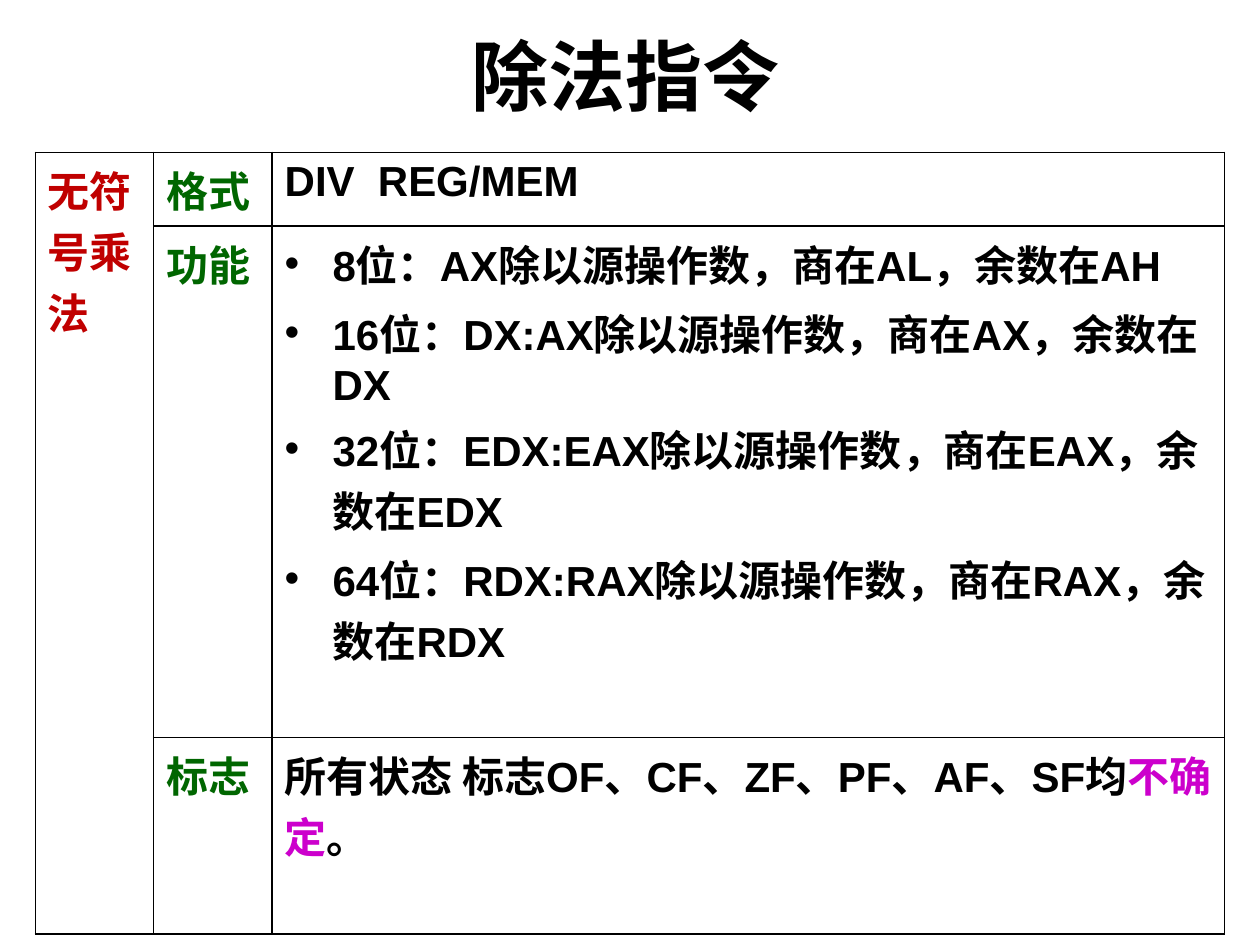
"""Build the slide on the division instruction."""
from dataclasses import dataclass

from lxml.etree import SubElement
from pptx import Presentation
from pptx.dml.color import RGBColor as Rgb
from pptx.enum.text import MSO_ANCHOR as Anchor, PP_ALIGN as Align
from pptx.oxml import parse_xml
from pptx.oxml.ns import nsdecls, qn
from pptx.util import Inches, Pt

BLACK = Rgb(0x00, 0x00, 0x00)
RED = Rgb(0xC0, 0x00, 0x00)
GREEN = Rgb(0x00, 0x66, 0x00)
PINK = Rgb(0xCC, 0x00, 0xCC)
WIDTHS = (0.94, 0.94, 7.56)
HEIGHTS = (0.58, 4.06, 1.56)


@dataclass(frozen=True)
class Part:
    text: str
    color: Rgb = BLACK


@dataclass(frozen=True)
class Entry:
    row: int
    col: int
    lines: tuple[tuple[Part, ...], ...]
    bullet: bool = False


MODES = (
    ("8", "AX", "AL", "AH"),
    ("16", "DX:AX", "AX", "DX"),
    ("32", "EDX:EAX", "EAX", "EDX"),
    ("64", "RDX:RAX", "RAX", "RDX"),
)
ENTRIES = (
    Entry(0, 0, ((Part("无符号乘法", RED),),)),
    Entry(0, 1, ((Part("格式", GREEN),),)),
    Entry(0, 2, ((Part("DIV  REG/MEM"),),)),
    Entry(1, 1, ((Part("功能", GREEN),),)),
    Entry(1, 2, tuple(
        (Part(f"{bits}位：{top}除以源操作数，商在{quot}，余数在{rest}"),)
        for bits, top, quot, rest in MODES), bullet=True),
    Entry(2, 1, ((Part("标志", GREEN),),)),
    Entry(2, 2, ((Part("所有状态 标志OF、CF、ZF、PF、AF、SF均"),
                  Part("不确定", PINK), Part("。")),)),
)


def add_run(para, part: Part, size: int) -> None:
    run = para.add_run()
    run.text = part.text
    font = run.font
    font.name, font.size, font.bold = "Arial", Pt(size), True
    font.color.rgb = part.color


def add_bullet(para) -> None:
    props = para._p.get_or_add_pPr()
    props.set("marL", str(Inches(0.38)))
    props.set("indent", str(-Inches(0.38)))
    SubElement(props, qn("a:buFont")).set("typeface", "Arial")
    SubElement(props, qn("a:buChar")).set("char", "•")


def set_style(cell) -> None:
    cell.fill.background()
    props = cell._tc.get_or_add_tcPr()
    for spot, side in enumerate("LRTB"):
        props.insert(spot, parse_xml(
            f'<a:ln{side} {nsdecls("a")} w="{Pt(1)}"><a:solidFill>'
            f'<a:srgbClr val="{BLACK}"/></a:solidFill></a:ln{side}>'))


def fill_cell(table, entry: Entry) -> None:
    frame = table.cell(entry.row, entry.col).text_frame
    for spot, line in enumerate(entry.lines):
        para = frame.add_paragraph() if spot else frame.paragraphs[0]
        if entry.bullet:
            add_bullet(para)
        if spot:
            para.space_before = Pt(4.8)
        for part in line:
            add_run(para, part, 24)


def add_title(slide) -> None:
    title = slide.shapes.title
    title.left, title.top = Inches(0.2), Inches(0.21)
    title.width, title.height = Inches(9.53), Inches(0.77)
    frame = title.text_frame
    frame.vertical_anchor = Anchor.MIDDLE
    para = frame.paragraphs[0]
    para.alignment = Align.CENTER
    add_run(para, Part("除法指令"), 44)


def add_grid(slide) -> None:
    table = slide.shapes.add_table(
        len(HEIGHTS), len(WIDTHS), Inches(0.28), Inches(1.21),
        Inches(sum(WIDTHS)), Inches(sum(HEIGHTS))).table
    table.first_row = table.horz_banding = False
    for col, width in zip(table.columns, WIDTHS):
        col.width = Inches(width)
    for row, height in zip(table.rows, HEIGHTS):
        row.height = Inches(height)
    for cell in table.iter_cells():
        set_style(cell)
    table.cell(0, 0).merge(table.cell(2, 0))
    for entry in ENTRIES:
        fill_cell(table, entry)


def main() -> None:
    deck = Presentation()
    deck.slide_width, deck.slide_height = Inches(10), Inches(7.5)
    slide = deck.slides.add_slide(deck.slide_layouts[5])
    add_title(slide)
    add_grid(slide)
    deck.save("out.pptx")


if __name__ == "__main__":
    main()
